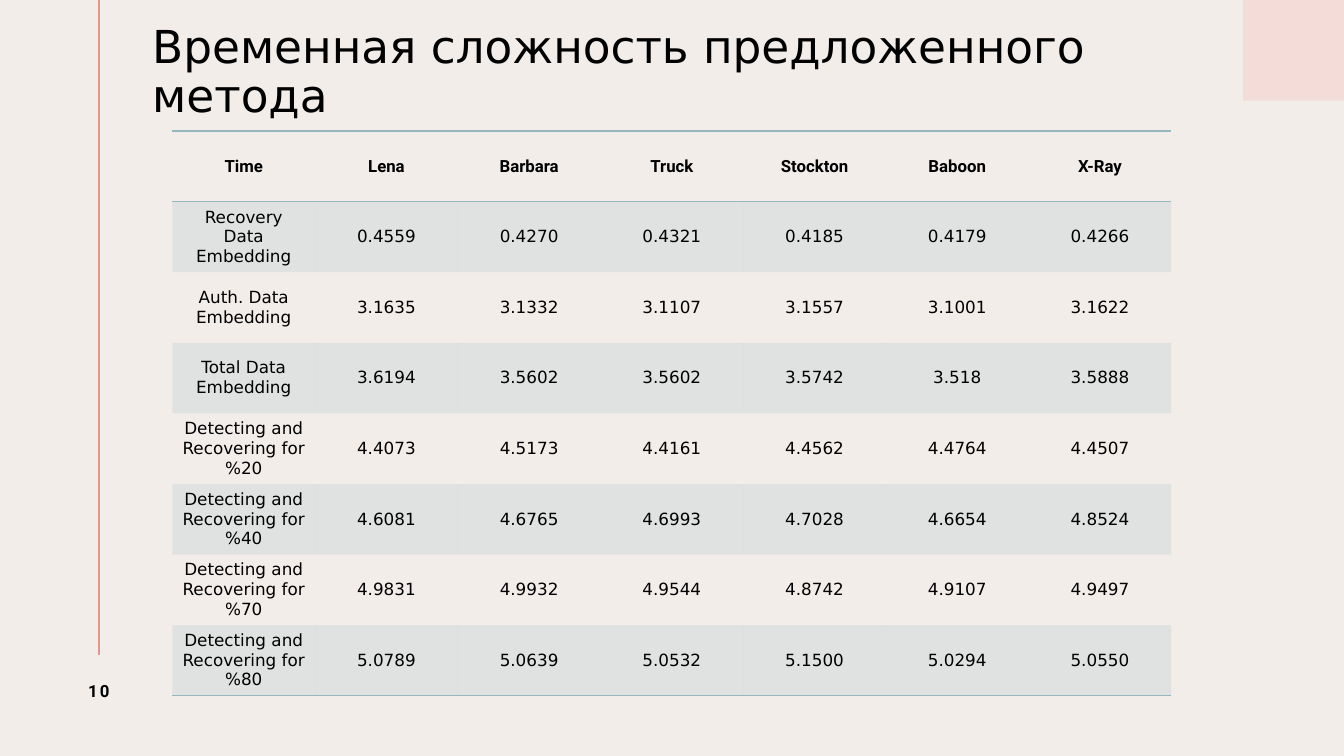
from dataclasses import dataclass

from lxml.etree import SubElement
from pptx import Presentation
from pptx.dml.color import RGBColor
from pptx.enum.shapes import MSO_CONNECTOR, MSO_SHAPE
from pptx.enum.text import MSO_ANCHOR, MSO_AUTO_SIZE, PP_ALIGN
from pptx.oxml.ns import qn
from pptx.slide import Slide
from pptx.table import _Cell
from pptx.util import Inches, Pt

SAND, BLUSH, CORAL, TEAL, BLACK = "F3EDEA", "F4DDD8", "DF998B", "95B8BF", "000000"
SANS, HEAD = "DejaVu Sans", "Roboto"
PLAIN = "{2D5ABB26-0587-4C30-8999-92F81FD0307C}"
WIDE, HIGH = 9.91, 5.6


@dataclass
class Row:
    label: str
    cells: str


ROWS = [
    Row("Time", "Lena Barbara Truck Stockton Baboon X-Ray"),
    Row("Recovery Data Embedding", "0.4559 0.4270 0.4321 0.4185 0.4179 0.4266"),
    Row("Auth. Data Embedding", "3.1635 3.1332 3.1107 3.1557 3.1001 3.1622"),
    Row("Total Data Embedding", "3.6194 3.5602 3.5602 3.5742 3.518 3.5888"),
    Row("Detecting and Recovering for %20", "4.4073 4.5173 4.4161 4.4562 4.4764 4.4507"),
    Row("Detecting and Recovering for %40", "4.6081 4.6765 4.6993 4.7028 4.6654 4.8524"),
    Row("Detecting and Recovering for %70", "4.9831 4.9932 4.9544 4.8742 4.9107 4.9497"),
    Row("Detecting and Recovering for %80", "5.0789 5.0639 5.0532 5.1500 5.0294 5.0550"),
]


def color(code: str) -> RGBColor:
    return RGBColor.from_string(code)


def style(para, size: float, face: str, bold: bool = False, align=PP_ALIGN.CENTER) -> None:
    para.alignment = align
    font = para.font
    font.size, font.name, font.bold = Pt(size), face, bold
    font.color.rgb = color(BLACK)


def rule(cell: _Cell, side: str) -> None:
    line = SubElement(cell._tc.get_or_add_tcPr(), qn(f"a:{side}"), w=str(Pt(1)))
    fill = SubElement(line, qn("a:solidFill"))
    SubElement(fill, qn("a:srgbClr"), val=TEAL)


def shade(cell: _Cell) -> None:
    cell.fill.solid()
    cell.fill.fore_color.rgb = color(TEAL)
    for tint in cell._tc.tcPr.findall(f"{qn('a:solidFill')}/{qn('a:srgbClr')}"):
        SubElement(tint, qn("a:alpha"), val="20000")


def decor(slide: Slide) -> None:
    block = slide.shapes.add_shape(
        MSO_SHAPE.RECTANGLE, Inches(12.33), 0, Inches(1), Inches(1))
    block.shadow.inherit = False
    block.fill.solid()
    block.fill.fore_color.rgb = color(BLUSH)
    block.line.fill.background()
    line = slide.shapes.add_connector(
        MSO_CONNECTOR.STRAIGHT, Inches(0.98), 0, Inches(0.98), Inches(6.5))
    line.line.color.rgb = color(CORAL)
    line.line.width = Pt(1.5)
    SubElement(line._element.spPr, qn("a:effectLst"))


def title(slide: Slide) -> None:
    box = slide.shapes.title
    box.left, box.top, box.width, box.height = map(Inches, (1.51, 0.16, 10.73, 1.14))
    frame = box.text_frame
    frame.text = "Временная сложность предложенного метода"
    frame.auto_size = MSO_AUTO_SIZE.NONE
    frame.vertical_anchor = MSO_ANCHOR.MIDDLE
    frame.margin_left = 0
    para = frame.paragraphs[0]
    para.line_spacing = 0.9
    style(para, 32.4, SANS, align=PP_ALIGN.LEFT)


def number(slide: Slide) -> None:
    box = slide.shapes.add_textbox(*map(Inches, (0.45, 6.5, 1.06, 0.71)))
    frame = box.text_frame
    frame.word_wrap = True
    frame.vertical_anchor = MSO_ANCHOR.MIDDLE
    frame.text = "10"
    para = frame.paragraphs[0]
    style(para, 12, HEAD, True)
    para.runs[0]._r.get_or_add_rPr().set("spc", "150")


def times(slide: Slide) -> None:
    grid = [[row.label, *row.cells.split()] for row in ROWS]
    last = len(grid) - 1
    table = slide.shapes.add_table(
        len(grid), len(grid[0]), Inches(1.71), Inches(1.3), Inches(WIDE), Inches(HIGH)).table
    table._tbl.tblPr.find(qn("a:tableStyleId")).text = PLAIN
    for col in table.columns:
        col.width = Inches(WIDE / len(grid[0]))
    for i, texts in enumerate(grid):
        table.rows[i].height = Inches(HIGH / len(grid))
        for j, text in enumerate(texts):
            cell = table.cell(i, j)
            cell.text = text
            cell.vertical_anchor = MSO_ANCHOR.MIDDLE
            style(cell.text_frame.paragraphs[0], 12, SANS if i else HEAD, i == 0)
            if i == 0:
                rule(cell, "lnT")
            if i in (0, last):
                rule(cell, "lnB")
            if i % 2:
                shade(cell)
            else:
                cell.fill.background()


def main() -> None:
    deck = Presentation()
    deck.slide_width, deck.slide_height = Inches(13.33), Inches(7.5)
    slide = deck.slides.add_slide(deck.slide_layouts[5])
    slide.background.fill.solid()
    slide.background.fill.fore_color.rgb = color(SAND)
    decor(slide)
    title(slide)
    number(slide)
    times(slide)
    deck.save("out.pptx")


if __name__ == "__main__":
    main()
